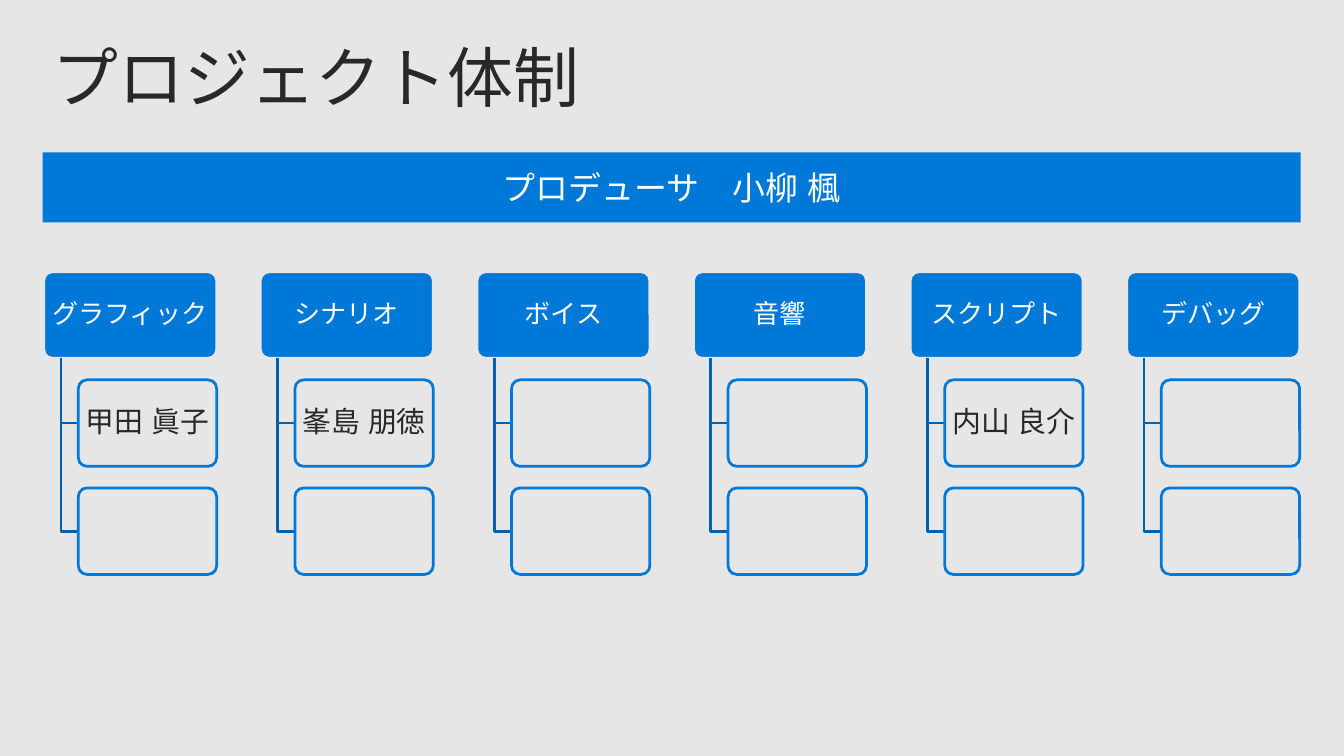
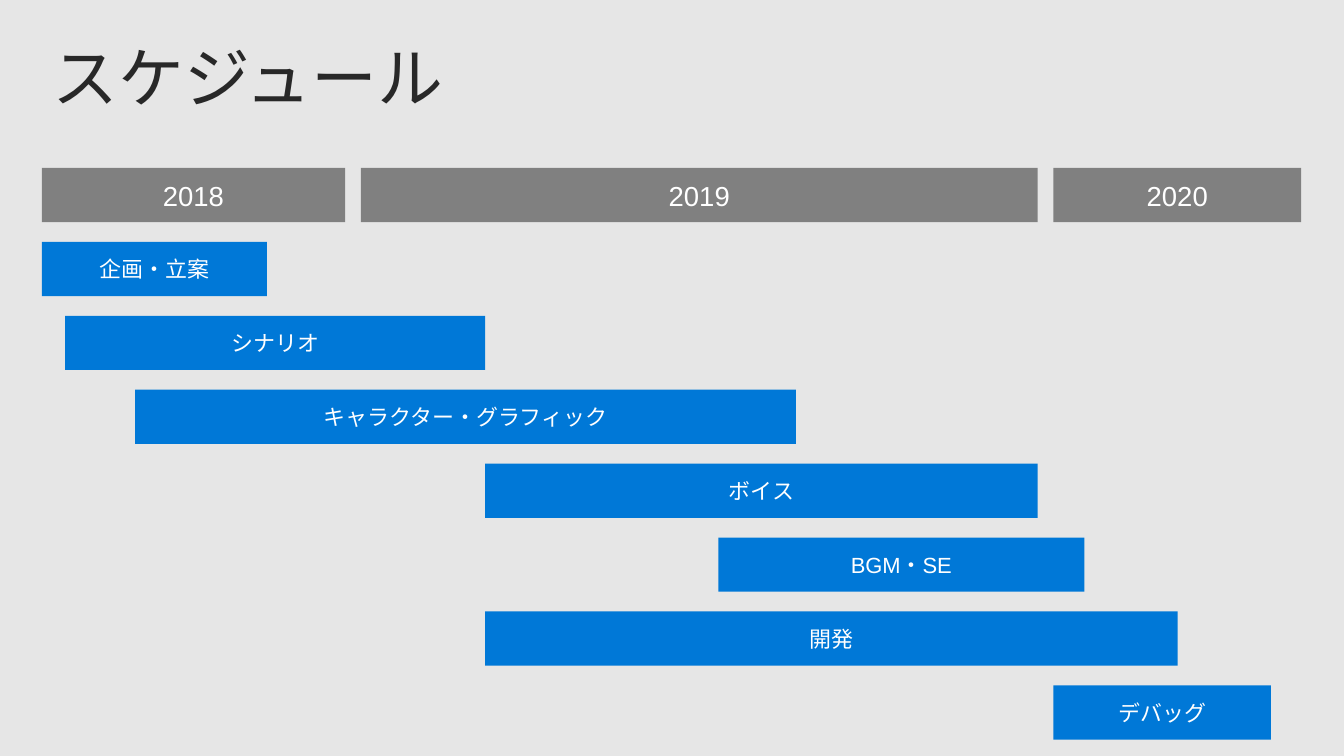
from lxml import etree
from pptx import Presentation
from pptx.dml.color import RGBColor
from pptx.enum.shapes import MSO_SHAPE
from pptx.enum.text import MSO_ANCHOR, PP_ALIGN
from pptx.oxml.ns import qn
from pptx.util import Pt

RECT = MSO_SHAPE.RECTANGLE
ROUNDED = MSO_SHAPE.ROUNDED_RECTANGLE
MIDDLE = MSO_ANCHOR.MIDDLE
LEFT, CENTER = PP_ALIGN.LEFT, PP_ALIGN.CENTER

# Shared look
FONT = "Arial"
GROUND, INK, WHITE = "E6E6E6", "282828", "FFFFFF"
BLUE, DARK_BLUE, GREY = "0078D7", "0060AC", "808080"
SLIDE_WIDTH, SLIDE_HEIGHT = 979.2, 550.8
MARGIN, CONTENT_WIDTH = 31, 916.6
TITLE_ONLY = 5

# Project team: (section, members)
TEAM = [
    ("グラフィック", ["甲田 眞子", ""]),
    ("シナリオ", ["峯島 朋徳", ""]),
    ("ボイス", ["", ""]),
    ("音響", ["", ""]),
    ("スクリプト", ["内山 良介", ""]),
    ("デバッグ", ["", ""]),
]
SECTION_LEFT, SECTION_TOP, SECTION_PITCH = 31.9, 198, 157.8
SECTION_WIDTH, BOX_HEIGHT = 126, 63
MEMBER_INDENT, MEMBER_WIDTH, MEMBER_PITCH = 25.2, 100.8, 78.75
TRUNK_INDENT = 12.6
TEAM_TEXT = {"spacing": 0.9, "inset": 2, "wrap": False}

# Schedule: (label, left, width)
YEARS = [("2018", 30.5, 221), ("2019", 263, 493), ("2020", 767.5, 180.5)]
TASKS = [
    ("企画・立案", 30.5, 164),
    ("シナリオ", 47.5, 306),
    ("キャラクター・グラフィック", 98.5, 481.5),
    ("ボイス", 353.5, 402.5),
    ("BGM・SE", 523.5, 266.5),
    ("開発", 353.5, 504.5),
    ("デバッグ", 767.5, 158.5),
]
ROW_TOP, ROW_PITCH, BAR_HEIGHT = 122.4, 53.85, 39.5


def rgb(code):
    return RGBColor.from_string(code)


def write(shape, text, size, color=WHITE, align=CENTER, spacing=1.0,
          inset=None, wrap=True):
    frame = shape.text_frame
    frame.word_wrap = wrap
    frame.vertical_anchor = MIDDLE
    if inset is not None:
        frame.margin_left = frame.margin_right = Pt(inset)
        frame.margin_top = frame.margin_bottom = Pt(inset)
    paragraph = frame.paragraphs[0]
    paragraph.alignment = align
    paragraph.line_spacing = spacing
    run = paragraph.add_run()
    run.text = text
    run.font.name = FONT
    run.font.size = Pt(size)
    run.font.color.rgb = rgb(color)
    # East Asian characters use the same font
    etree.SubElement(run._r.get_or_add_rPr(), qn("a:ea"), typeface=FONT)


def add_box(slide, left, top, width, height, fill, line=None, kind=RECT):
    box = slide.shapes.add_shape(kind, Pt(left), Pt(top), Pt(width), Pt(height))
    box.shadow.inherit = False
    box.fill.solid()
    box.fill.fore_color.rgb = rgb(fill)
    if line:
        box.line.color.rgb = rgb(line)
        box.line.width = Pt(2)
    else:
        box.line.fill.background()
    if kind == ROUNDED:
        box.adjustments[0] = 0.1
    return box


def add_branch(slide, trunk, top, end, bottom):
    """Draw an elbow down the trunk and across to a member box."""
    builder = slide.shapes.build_freeform(Pt(trunk), Pt(top))
    builder.add_line_segments(
        [(Pt(trunk), Pt(bottom)), (Pt(end), Pt(bottom))], close=False)
    branch = builder.convert_to_shape()
    branch.shadow.inherit = False
    branch.fill.background()
    branch.line.color.rgb = rgb(DARK_BLUE)
    branch.line.width = Pt(2)


def add_titled_slide(deck, heading):
    slide = deck.slides.add_slide(deck.slide_layouts[TITLE_ONLY])
    title = slide.shapes.title
    title.left, title.top = Pt(MARGIN), Pt(22.3)
    title.width, title.height = Pt(CONTENT_WIDTH), Pt(66.2)
    write(title, heading, 48, color=INK, align=LEFT)
    return slide


def add_section(slide, left, name, members):
    header = add_box(slide, left, SECTION_TOP, SECTION_WIDTH, BOX_HEIGHT,
                     BLUE, line=GROUND, kind=ROUNDED)
    write(header, name, 19, **TEAM_TEXT)
    member_left = left + MEMBER_INDENT
    for row, member in enumerate(members, start=1):
        top = SECTION_TOP + row * MEMBER_PITCH
        add_branch(slide, left + TRUNK_INDENT, SECTION_TOP + BOX_HEIGHT,
                   member_left, top + BOX_HEIGHT / 2)
        box = add_box(slide, member_left, top, MEMBER_WIDTH, BOX_HEIGHT,
                      GROUND, line=BLUE, kind=ROUNDED)
        if member:
            write(box, member, 21, color=INK, **TEAM_TEXT)


def build_team(deck):
    slide = add_titled_slide(deck, "プロジェクト体制")
    for column, (name, members) in enumerate(TEAM):
        add_section(slide, SECTION_LEFT + column * SECTION_PITCH, name, members)
    producer = add_box(slide, MARGIN, 111, CONTENT_WIDTH, 51, BLUE)
    write(producer, "プロデューサ　小柳 楓", 24)


def build_schedule(deck):
    slide = add_titled_slide(deck, "スケジュール")
    for label, left, width in YEARS:
        year = add_box(slide, left, ROW_TOP, width, BAR_HEIGHT, GREY)
        write(year, label, 20)
    for row, (label, left, width) in enumerate(TASKS, start=1):
        task = add_box(slide, left, ROW_TOP + row * ROW_PITCH, width, BAR_HEIGHT, BLUE)
        write(task, label, 16)


def main():
    deck = Presentation()
    deck.slide_width, deck.slide_height = Pt(SLIDE_WIDTH), Pt(SLIDE_HEIGHT)
    ground = deck.slide_master.background.fill
    ground.solid()
    ground.fore_color.rgb = rgb(GROUND)
    build_team(deck)
    build_schedule(deck)
    deck.save("out.pptx")


if __name__ == "__main__":
    main()
